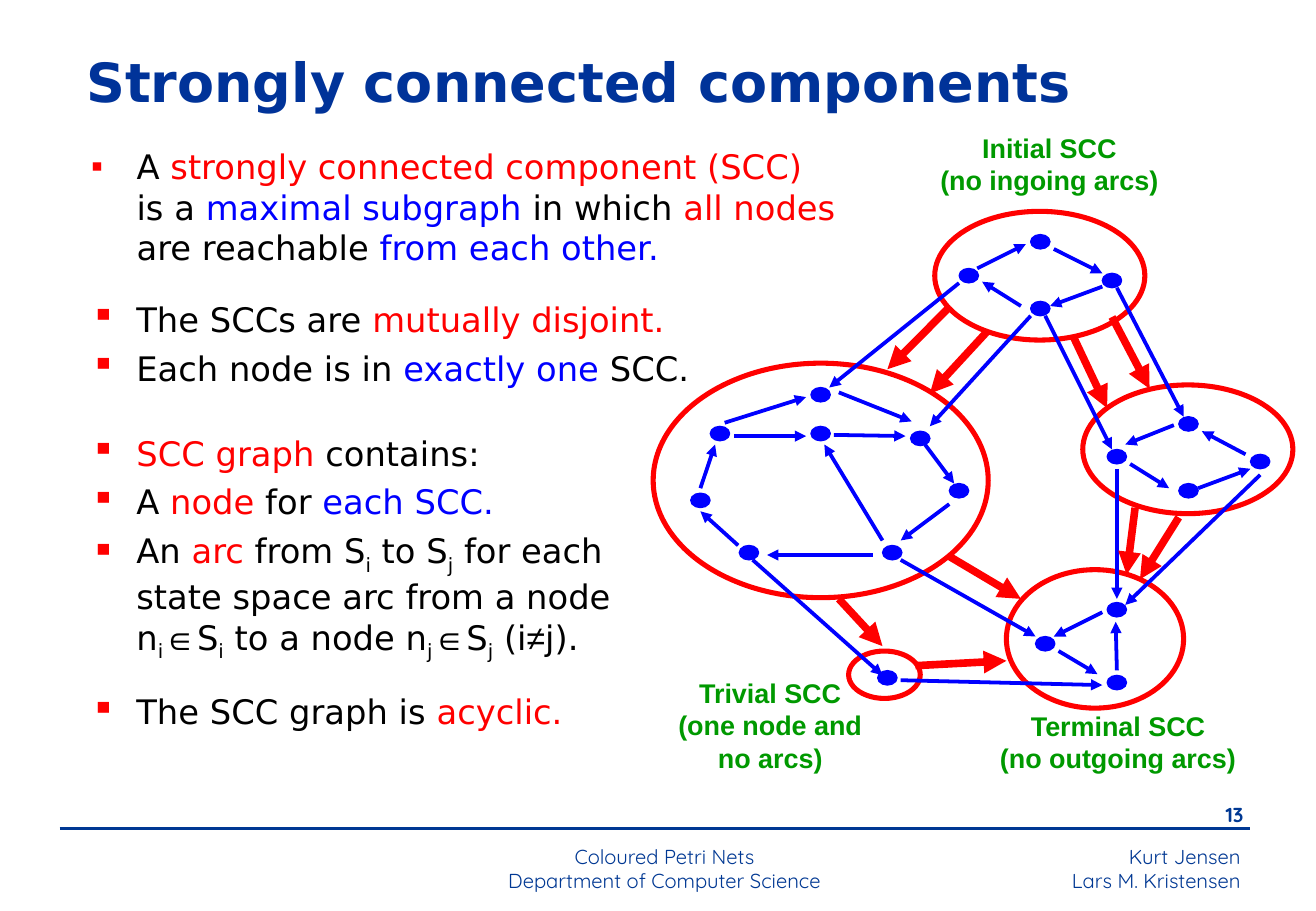
from itertools import groupby

from lxml import etree
from pptx import Presentation
from pptx.dml.color import RGBColor
from pptx.enum import shapes, text
from pptx.oxml.ns import qn
from pptx.util import Pt

BLACK, RED, BLUE, GREEN = "000000", "FF0000", "0000FF", "009900"
TITLE_BLUE, FOOTER_BLUE = "003399", "003893"
LEFT, CENTER, RIGHT = text.PP_ALIGN.LEFT, text.PP_ALIGN.CENTER, text.PP_ALIGN.RIGHT
INDENT = 27
NODE_WIDTH, NODE_HEIGHT = 11.5, 8.6

# Each list: box and its items; an item is a row of (wording, colour).
# "_" makes the next character a subscript.
DEFINITION = (46.8, 82.8, 456.5, 85), [
    [("A ", BLACK), ("strongly connected component (SCC)", RED), (" is a ", BLACK),
     ("maximal subgraph", BLUE), (" in which ", BLACK), ("all nodes", RED),
     (" are reachable ", BLACK), ("from each other.", BLUE)],
]
OTHER_LISTS = [
    ((46.8, 173.5, 388, 67.7), [
        [("The SCCs are ", BLACK), ("mutually disjoint.", RED)],
        [("Each node is in ", BLACK), ("exactly one", BLUE), (" SCC.", BLACK)],
    ]),
    ((46.8, 252.7, 332, 141.8), [
        [("SCC graph ", RED), ("contains:", BLACK)],
        [("A ", BLACK), ("node", RED), (" for ", BLACK), ("each SCC.", BLUE)],
        [("An ", BLACK), ("arc", RED),
         (" from S_i to S_j for each state space arc from a node "
          "n_i∈S_i to a node n_j∈S_j (i≠j).", BLACK)],
    ]),
    ((46.8, 406.1, 332, 36.7), [
        [("The SCC graph is ", BLACK), ("acyclic.", RED)],
    ]),
]
LABELS = [
    ("Terminal SCC\v(no outgoing arcs)", (582.5, 416.9, 161.3, 46)),
    ("Trivial SCC\v(one node and no arcs)", (390.2, 397.4, 133.2, 65)),
    ("Initial SCC\v(no ingoing arcs)", (548.6, 74.2, 147.6, 46)),
]
COMPONENTS = [
    (554.4, 125.3, 124.6, 76.3), (387.4, 215.3, 198.7, 139), (642.2, 228.2, 124.6, 76.3),
    (596.9, 337.7, 105.1, 82.1), (503.3, 385.9, 42.5, 28.1),
]
NODE_CENTRES = [
    (617, 143.3), (659.5, 166.3), (617, 182.9), (574.6, 163.4),
    (486.7, 234), (427, 257), (486.7, 257), (545.8, 259.9),
    (415.4, 296.6), (568.8, 290.9), (529.2, 327.6), (444.2, 327.6),
    (704.9, 251.3), (747.4, 273.6), (704.9, 290.9), (662.4, 270.7),
    (662.4, 361.4), (662.4, 404.6), (619.9, 381.6), (526.3, 401.8),
]
# Arcs run from (x, y) to the arrowhead at (x, y).
NODE_ARCS = [
    # Initial component
    (625, 147.6, 653.8, 162), (653.8, 169.9, 622.8, 181.4),
    (579.6, 159.1, 608.4, 144.7), (605.5, 181.4, 582.5, 167),
    # Large component
    (415.4, 289.4, 424.1, 263.5), (435.6, 258.5, 478.1, 258.5),
    (548.6, 263.5, 565.9, 286.6), (429.8, 250.6, 478.1, 235.4),
    (563, 298.8, 534.2, 320.4), (523.4, 320.4, 488.9, 263.5),
    (517.7, 329, 455, 329), (494.6, 257.8, 537.1, 258.5),
    (497.5, 232.6, 540.7, 249.8), (437.8, 323.3, 415.4, 303.1),
    # Right component
    (738.7, 269.3, 712.8, 255.6), (710.6, 289.4, 741.6, 277.9),
    (696.2, 252, 667.4, 263.5), (670.3, 275, 693.4, 289.4),
    # Terminal component
    (662.4, 397.4, 661.7, 368.6), (653.8, 362.9, 625, 377.3),
    (627.8, 385.9, 650.9, 399.6),
    # Between components
    (568.8, 167.8, 491.8, 229.7), (611.3, 187.2, 551.5, 252.7),
    (662.4, 170.6, 702, 247), (619.9, 187.2, 659.5, 266.4),
    (534.2, 331.9, 614.2, 377.3), (662.4, 277.9, 662.4, 355),
    (534.2, 403.2, 653.8, 406.1), (446.4, 331.9, 523.4, 400.3),
    (747.4, 281.5, 667.4, 358.6),
]
COMPONENT_ARCS = [
    (563, 182.2, 526.3, 218.9), (585.4, 196.6, 551.5, 233.3),
    (636.5, 199.4, 656.6, 241.9), (659.5, 187.9, 681.8, 230.4),
    (673.2, 301, 668.2, 340.6), (699.1, 306.7, 676.1, 343.4),
    (497.5, 355, 523.4, 383), (563, 329.8, 605.5, 355),
    (542.9, 394.6, 596.9, 391.7),
]


def rgb(hex_colour):
    return RGBColor.from_string(hex_colour)


def points(lengths):
    return [Pt(length) for length in lengths]


def style(paragraph, font, size, colour, bold=False, align=LEFT):
    paragraph.alignment = align
    paragraph.font.name, paragraph.font.size = font, Pt(size)
    paragraph.font.bold = bold
    paragraph.font.color.rgb = rgb(colour)


def place(holder, box):
    holder.left, holder.top, holder.width, holder.height = points(box)
    holder.text_frame.auto_size = text.MSO_AUTO_SIZE.NONE
    return holder.text_frame


def add_frame(slide, box):
    frame = slide.shapes.add_textbox(*points(box)).text_frame
    frame.word_wrap = True
    return frame


def add_text(slide, box, lines, *look):
    """Add a text box with one paragraph per line, all with the same look."""
    frame = add_frame(slide, box)
    for number, line in enumerate(lines):
        paragraph = frame.add_paragraph() if number else frame.paragraphs[0]
        paragraph.text = line
        style(paragraph, *look)


def add_bullet(paragraph):
    properties = paragraph._p.get_or_add_pPr()
    properties.set("marL", str(Pt(INDENT)))
    properties.set("indent", str(-Pt(INDENT)))
    colour = etree.SubElement(properties, qn("a:buClr"))
    etree.SubElement(colour, qn("a:srgbClr"), val=RED)
    etree.SubElement(properties, qn("a:buChar"), char="▪")


def add_wording(paragraph, wording, colour):
    marked = [(char, before == "_", char in "∈≠")
              for before, char in zip(" " + wording, wording) if char != "_"]
    for (subscript, symbol), chars in groupby(marked, key=lambda mark: mark[1:]):
        run = paragraph.add_run()
        run.text = "".join(mark[0] for mark in chars)
        run.font.color.rgb = rgb(colour)
        if symbol:
            run.font.name = "Arial"
        if subscript:
            run._r.get_or_add_rPr().set("baseline", "-25000")


def fill_list(frame, items):
    for number, item in enumerate(items):
        paragraph = frame.add_paragraph() if number else frame.paragraphs[0]
        add_bullet(paragraph)
        paragraph.space_before = Pt(5 if number else 0)
        style(paragraph, "DejaVu Sans", 20, BLACK)
        for wording, colour in item:
            add_wording(paragraph, wording, colour)


def add_ellipse(parent, box, line, width, fill=None):
    ellipse = parent.shapes.add_shape(shapes.MSO_SHAPE.OVAL, *points(box))
    ellipse.shadow.inherit = False
    ellipse.line.color.rgb, ellipse.line.width = rgb(line), Pt(width)
    if fill:
        ellipse.fill.solid()
        ellipse.fill.fore_color.rgb = rgb(fill)
    else:
        ellipse.fill.background()


def add_line(parent, ends, colour, width, arrow=True):
    line = parent.shapes.add_connector(shapes.MSO_CONNECTOR.STRAIGHT, *points(ends))
    line.line.color.rgb, line.line.width = rgb(colour), Pt(width)
    if arrow:
        etree.SubElement(line.line._get_or_add_ln(), qn("a:tailEnd"), type="triangle")
    etree.SubElement(line._element.spPr, qn("a:effectLst"))


def add_footer(slide):
    look = "Quicksand", 12, FOOTER_BLUE
    add_text(slide, (500.4, 496.8, 242.6, 36), ["Kurt Jensen", "Lars M. Kristensen"],
             *look, False, RIGHT)
    add_text(slide, (693.4, 472.3, 51.1, 23.8), ["13"], *look, True, RIGHT)
    add_line(slide, (35.3, 491, 741.6, 491), FOOTER_BLUE, 1.5, arrow=False)
    add_text(slide, (245.5, 496.8, 297.4, 34),
             ["Coloured Petri Nets", "Department of Computer Science"],
             *look, False, CENTER)


def main():
    deck = Presentation()
    deck.slide_width, deck.slide_height = Pt(780.48), Pt(540)
    slide = deck.slides.add_slide(deck.slide_layouts[1])
    add_footer(slide)

    heading = place(slide.shapes.title, (43.9, 23, 643.7, 49.7))
    heading.vertical_anchor = text.MSO_ANCHOR.MIDDLE
    heading.text = "Strongly connected components"
    style(heading.paragraphs[0], "DejaVu Sans", 32, TITLE_BLUE, True)

    box, items = DEFINITION
    fill_list(place(slide.placeholders[1], box), items)
    for box, items in OTHER_LISTS:
        fill_list(add_frame(slide, box), items)

    for box in COMPONENTS:
        add_ellipse(slide, box, RED, 3)
    for label, box in LABELS:
        add_text(slide, box, [label], "Arial", 16, GREEN, True, CENTER)

    state_space = slide.shapes.add_group_shape()
    for x, y in NODE_CENTRES:
        box = x - NODE_WIDTH / 2, y - NODE_HEIGHT / 2, NODE_WIDTH, NODE_HEIGHT
        add_ellipse(state_space, box, BLUE, 0.75, BLUE)
    for ends in NODE_ARCS:
        add_line(state_space, ends, BLUE, 2.25)

    scc_graph = slide.shapes.add_group_shape()
    for ends in COMPONENT_ARCS:
        add_line(scc_graph, ends, RED, 4.5)
    deck.save("out.pptx")


if __name__ == "__main__":
    main()
